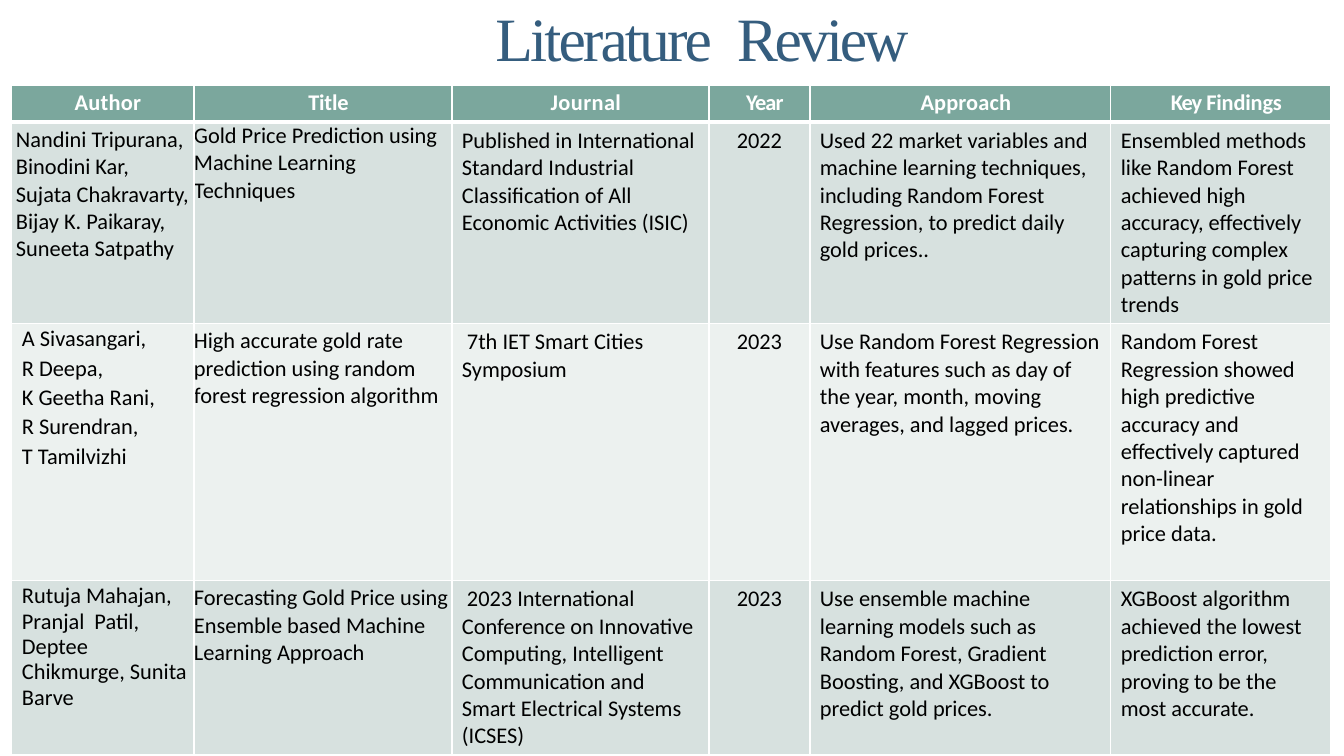
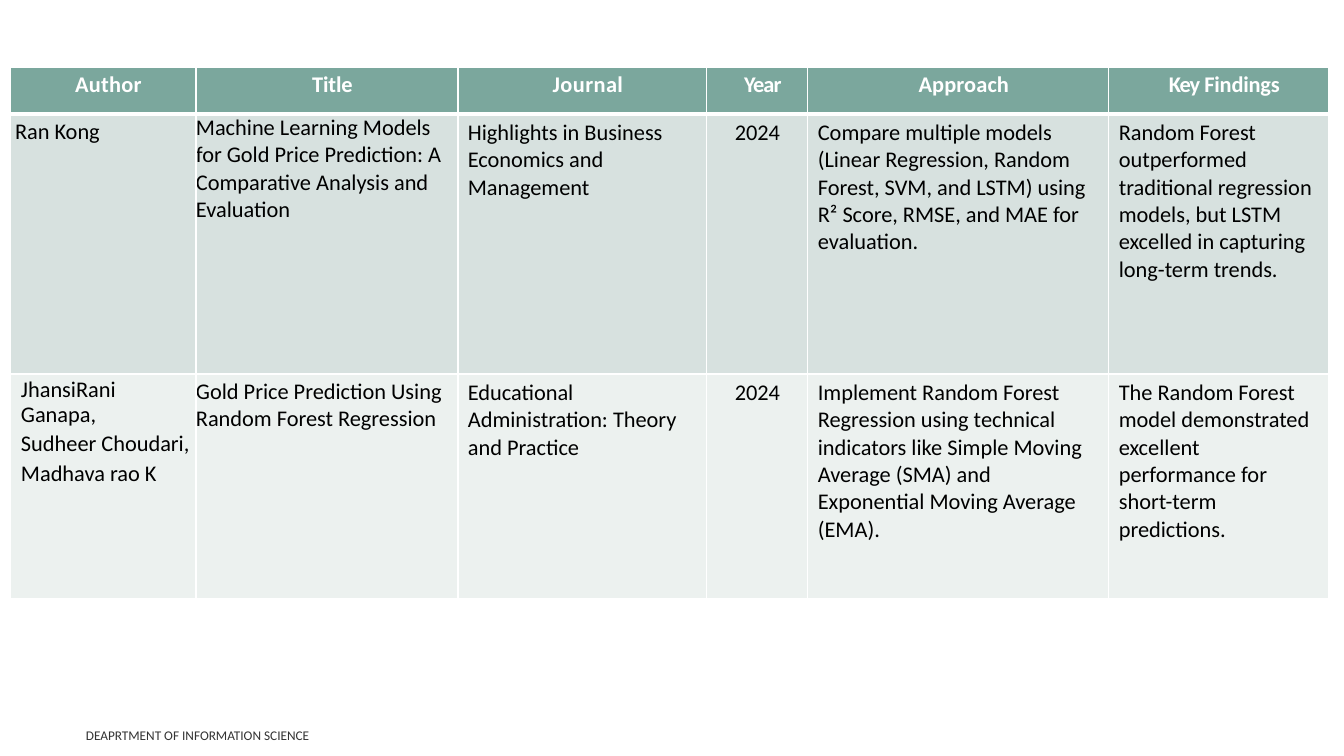
from lxml.etree import SubElement
from pptx import Presentation
from pptx.dml.color import RGBColor
from pptx.enum.text import MSO_ANCHOR, PP_ALIGN
from pptx.oxml.ns import qn
from pptx.util import Emu, Pt

WHITE = RGBColor(0xFF, 0xFF, 0xFF)
BLACK = RGBColor(0x00, 0x00, 0x00)
GREY = RGBColor(0x33, 0x33, 0x33)
NAVY = RGBColor(0x35, 0x5D, 0x7E)
TEAL = RGBColor(0x7B, 0xA7, 0x9D)
BANDS = (RGBColor(0xEC, 0xF1, 0xEF), RGBColor(0xD7, 0xE1, 0xDF))

AUTHOR, TITLE, JOURNAL, YEAR, APPROACH, FINDINGS = range(6)

TITLE_RUNS = [("Literature", -210), (" ", 680), ("Review", -240)]
FOOTER = "DEAPRTMENT OF INFORMATION SCIENCE"
HEADERS = [
    [("Author", 20)],
    [("Title", -10)],
    [("Journal", 30)],
    [("Year", -60)],
    [("Approach", 10)],
    [("Key ", -70), ("Findings", -10)],
]

EARLIER_PAPERS = [
    (["Nandini Tripurana,", "Binodini Kar,", "Sujata Chakravarty,",
      "Bijay K. Paikaray,", "Suneeta Satpathy"],
     "Gold Price Prediction using Machine Learning Techniques",
     "Published in International Standard Industrial Classification of All "
     "Economic Activities (ISIC)",
     "2022",
     "Used 22 market variables and machine learning techniques, including "
     "Random Forest Regression, to predict daily gold prices..",
     "Ensembled methods like Random Forest achieved high accuracy, "
     "effectively capturing complex patterns in gold price trends"),
    (["A Sivasangari,", "R Deepa,", "K Geetha Rani,", "R Surendran,",
      "T Tamilvizhi"],
     "High accurate gold rate prediction using random forest regression "
     "algorithm",
     " 7th IET Smart Cities Symposium",
     "2023",
     "Use Random Forest Regression with features such as day of the year, "
     "month, moving averages, and lagged prices.",
     "Random Forest Regression showed high predictive accuracy and "
     "effectively captured non-linear relationships in gold price data."),
    (["Rutuja Mahajan, Pranjal  Patil, Deptee Chikmurge, Sunita Barve"],
     "Forecasting Gold Price using Ensemble based Machine Learning Approach",
     " 2023 International Conference on Innovative Computing, Intelligent "
     "Communication and Smart Electrical Systems (ICSES)",
     "2023",
     "Use ensemble machine learning models such as Random Forest, Gradient "
     "Boosting, and XGBoost to predict gold prices.",
     "XGBoost algorithm achieved the lowest prediction error, proving to be "
     "the most accurate."),
]

LATER_PAPERS = [
    (["Ran Kong"],
     "Machine Learning Models for Gold Price Prediction: A Comparative "
     "Analysis and Evaluation",
     "Highlights in Business Economics and Management",
     "2024",
     "Compare multiple models (Linear Regression, Random Forest, SVM, and "
     "LSTM) using R² Score, RMSE, and MAE for evaluation.",
     "Random Forest outperformed traditional regression models, but LSTM "
     "excelled in capturing long-term trends."),
    (["JhansiRani Ganapa,", "Sudheer Choudari,", "Madhava rao K"],
     "Gold Price Prediction Using Random Forest Regression",
     "Educational Administration: Theory and Practice",
     "2024",
     "Implement Random Forest Regression using technical indicators like "
     "Simple Moving Average (SMA) and Exponential Moving Average (EMA).",
     "The Random Forest model demonstrated excellent performance for "
     "short-term predictions."),
]


def px(n):
    return Emu(round(n * 914400 / 100.8))


def set_font(p, size, color, name="Calibri", bold=False):
    p.font.size = Pt(size)
    p.font.name = name
    p.font.bold = bold
    p.font.color.rgb = color


def add_runs(p, runs):
    for text, spacing in runs:
        r = p.add_run()
        r.text = text
        r._r.get_or_add_rPr().set("spc", str(spacing))


def set_borders(cell, row):
    tcPr = cell._tc.get_or_add_tcPr()
    widths = {
        "lnL": 1,
        "lnR": 1,
        "lnT": 3 if row == 1 else 1,
        "lnB": 3 if row == 0 else 1,
    }
    for tag, width in widths.items():
        ln = SubElement(tcPr, qn("a:" + tag), w=str(Pt(width)))
        fill = SubElement(ln, qn("a:solidFill"))
        SubElement(fill, qn("a:srgbClr"), val=str(WHITE))


def format_cell(cell, row, col):
    set_borders(cell, row)
    cell.fill.solid()
    cell.fill.fore_color.rgb = BANDS[row % 2] if row else TEAL
    if row == 0 or col in (AUTHOR, TITLE):
        cell.margin_left = cell.margin_right = cell.margin_bottom = 0
        cell.margin_top = px(0 if (row, col) == (1, TITLE) else 4)
    else:
        cell.margin_left = cell.margin_right = px(10)
        cell.margin_top = cell.margin_bottom = px(5)


def format_paragraph(p, row, col):
    set_font(p, 16, BLACK if row else WHITE, bold=row == 0)
    p.alignment = PP_ALIGN.CENTER if row == 0 or col == YEAR else PP_ALIGN.LEFT
    if row == 0 or col == AUTHOR:
        p._p.get_or_add_pPr().set("marL", str(px(5 if row == 1 else 11)))
        if row != 1:
            p.space_before = Pt(2.8)
        if row > 1:
            p.line_spacing = Pt(18.1)


def add_review_table(s, left, top, widths, heights, papers):
    frame = s.shapes.add_table(len(heights), len(widths), px(left), px(top),
                               px(sum(widths)), px(sum(heights)))
    table = frame.table
    for column, width in zip(table.columns, widths):
        column.width = px(width)
    for table_row, height in zip(table.rows, heights):
        table_row.height = px(height)
    for row, values in enumerate([HEADERS, *papers]):
        for col, value in enumerate(values):
            cell = table.cell(row, col)
            format_cell(cell, row, col)
            tf = cell.text_frame
            if row == 0:
                add_runs(tf.paragraphs[0], value)
            else:
                tf.text = "\n".join(value) if col == AUTHOR else value
            for p in tf.paragraphs:
                format_paragraph(p, row, col)


def add_title(s):
    sp = s.shapes.title
    sp.left, sp.top, sp.width, sp.height = px(122), px(0), px(1160), px(85)
    tf = sp.text_frame
    tf.vertical_anchor = MSO_ANCHOR.MIDDLE
    p = tf.paragraphs[0]
    p.alignment = PP_ALIGN.CENTER
    p.line_spacing = 0.85
    set_font(p, 44, NAVY, "Times New Roman")
    add_runs(p, TITLE_RUNS)


def add_footer(s):
    tf = s.shapes.add_textbox(px(76), px(723), px(554), px(25)).text_frame
    tf.word_wrap = True
    tf.vertical_anchor = MSO_ANCHOR.MIDDLE
    tf.text = FOOTER
    set_font(tf.paragraphs[0], 9.5, GREY)


def main():
    prs = Presentation()
    prs.slide_width, prs.slide_height = px(1344), px(756)
    title_only, blank = prs.slide_layouts[5], prs.slide_layouts[6]

    s = prs.slides.add_slide(title_only)
    add_title(s)
    add_review_table(s, 11, 85, [183, 258, 257, 101, 301, 220],
                     [37, 201, 257, 174], EARLIER_PAPERS)

    s = prs.slides.add_slide(blank)
    add_footer(s)
    add_review_table(s, 10, 67, [186, 262, 249, 101, 301, 220],
                     [47, 260, 225], LATER_PAPERS)

    prs.save("out.pptx")


if __name__ == "__main__":
    main()
